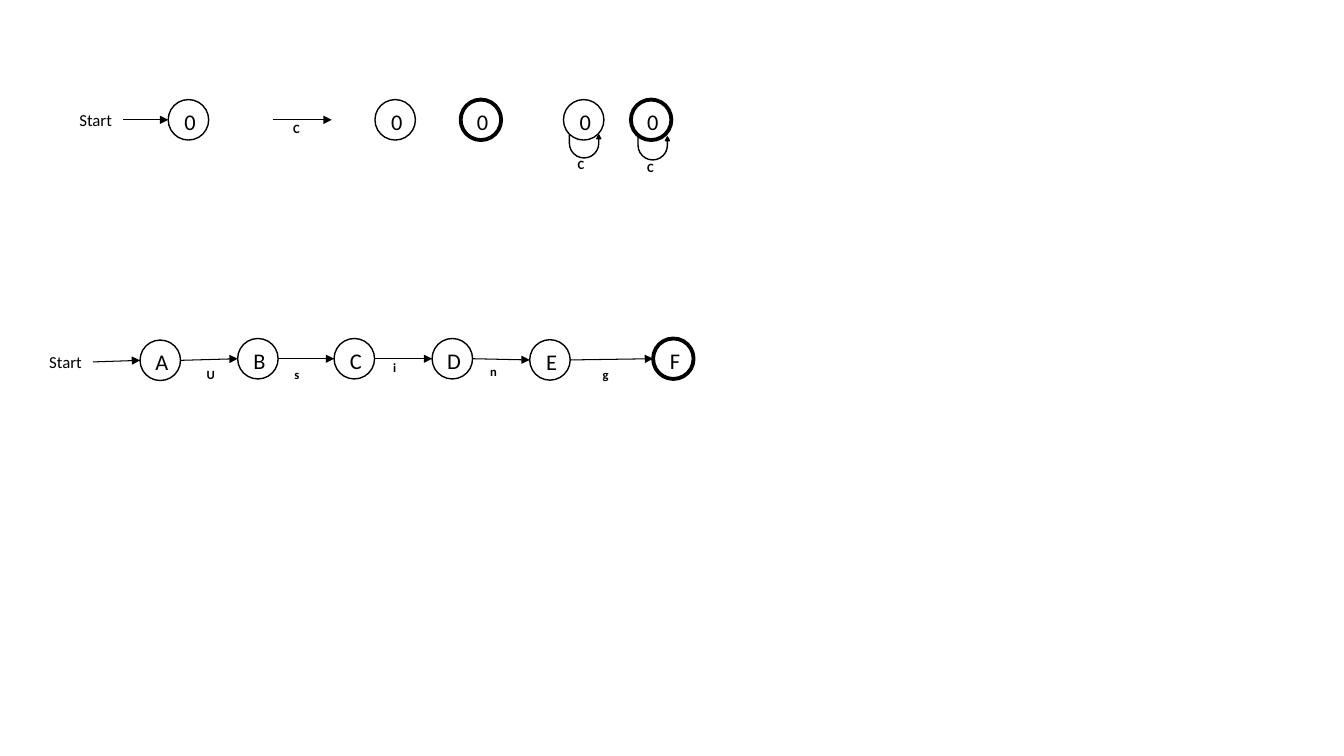
"""Build a slide with a legend of automaton symbols and a chain of states spelling a word."""
from lxml import etree
from pptx import Presentation
from pptx.dml.color import RGBColor
from pptx.enum.shapes import MSO_CONNECTOR, MSO_SHAPE
from pptx.enum.text import MSO_ANCHOR, PP_ALIGN
from pptx.oxml.ns import qn
from pptx.util import Cm, Pt

ELLIPSE, UTURN = MSO_SHAPE.OVAL, MSO_SHAPE.U_TURN_ARROW
STRAIGHT = MSO_CONNECTOR.STRAIGHT
CENTER, MIDDLE, TOP = PP_ALIGN.CENTER, MSO_ANCHOR.MIDDLE, MSO_ANCHOR.TOP

FONT, BLACK = "Calibri", "000000"
DIAMETER = 1.02
START_WIDTH, START_HEIGHT = 1.35, 0.76
LABEL_WIDTH, LABEL_HEIGHT = 0.41, 0.64
LOOP_WIDTH, LOOP_HEIGHT = 0.79, 0.58
LOOP_ADJUSTMENTS = (0, 0.085, 0.164, 0.717, 1)

# name, centre x, centre y, accepting
LEGEND_STATES = [
    ("0", 4.75, 3.02, False),
    ("0", 9.96, 3.02, False),
    ("0", 12.12, 3.02, True),
    ("0", 14.71, 3.02, False),
    ("0", 16.41, 3.02, True),
]
CHAIN_STATES = [
    ("A", 4.04, 9.08, False),
    ("B", 6.50, 9.04, False),
    ("C", 8.93, 9.04, False),
    ("D", 11.40, 9.04, False),
    ("E", 13.86, 9.07, False),
    ("F", 16.97, 9.04, True),
]
STARTS = [(1.75, 2.64, LEGEND_STATES[0]), (0.99, 8.74, CHAIN_STATES[0])]
LEGEND_ARROW = (6.88, 3.02, 8.36, 3.02)
LOOPS = [(14.35, 3.40), (16.08, 3.45)]
LABELS = [
    ("C", 7.26, 2.92), ("C", 14.43, 3.84), ("C", 16.18, 3.91),
    ("U", 5.08, 9.12), ("s", 7.29, 9.12), ("i", 9.78, 8.94),
    ("n", 12.22, 9.04), ("g", 15.06, 9.12),
]


def color(hex_value):
    return RGBColor.from_string(hex_value)


def set_line(shape, width):
    shape.line.color.rgb = color(BLACK)
    shape.line.width = Pt(width)


def write(shape, text, size, bold=False, alignment=None, anchor=TOP):
    shape.text_frame.vertical_anchor = anchor
    paragraph = shape.text_frame.paragraphs[0]
    paragraph.text = text
    paragraph.alignment = alignment
    paragraph.font.name = FONT
    paragraph.font.size = Pt(size)
    paragraph.font.bold = bold
    paragraph.font.color.rgb = color(BLACK)


def add_state(slide, name, x, y, accepting):
    shape = slide.shapes.add_shape(
        ELLIPSE, Cm(x - DIAMETER / 2), Cm(y - DIAMETER / 2), Cm(DIAMETER), Cm(DIAMETER))
    shape.shadow.inherit = False
    shape.fill.background()
    set_line(shape, 2.75 if accepting else 1)
    frame = shape.text_frame
    frame.margin_left = frame.margin_top = Cm(0.08)
    frame.margin_right = frame.margin_bottom = 0
    write(shape, name, 16, alignment=CENTER, anchor=MIDDLE)


def add_arrow(slide, x1, y1, x2, y2):
    connector = slide.shapes.add_connector(STRAIGHT, Cm(x1), Cm(y1), Cm(x2), Cm(y2))
    set_line(connector, 0.75)
    properties = connector._element.spPr
    tail = etree.SubElement(properties.find(qn("a:ln")), qn("a:tailEnd"))
    tail.set("type", "triangle")
    etree.SubElement(properties, qn("a:effectLst"))


def add_start(slide, x, y, state):
    box = slide.shapes.add_textbox(Cm(x), Cm(y), Cm(START_WIDTH), Cm(START_HEIGHT))
    box.text_frame.word_wrap = False
    write(box, "Start", 12)
    name, state_x, state_y, accepting = state
    add_arrow(slide, x + START_WIDTH, y + START_HEIGHT / 2, state_x - DIAMETER / 2, state_y)


def add_loop(slide, x, y):
    loop = slide.shapes.add_shape(UTURN, Cm(x), Cm(y), Cm(LOOP_WIDTH), Cm(LOOP_HEIGHT))
    loop.shadow.inherit = False
    for index, value in enumerate(LOOP_ADJUSTMENTS):
        loop.adjustments[index] = value
    loop.rotation = 180
    loop._element.spPr.find(qn("a:xfrm")).set("flipH", "1")
    loop.fill.solid()
    loop.fill.fore_color.rgb = color(BLACK)
    set_line(loop, 1)


def add_label(slide, text, x, y):
    box = slide.shapes.add_textbox(Cm(x), Cm(y), Cm(LABEL_WIDTH), Cm(LABEL_HEIGHT))
    box.text_frame.word_wrap = True
    box.text_frame.margin_left = Cm(0.13)
    box.text_frame.margin_right = 0
    write(box, text, 9, bold=True)


def main():
    presentation = Presentation()
    presentation.slide_width, presentation.slide_height = Cm(33.87), Cm(19.05)
    slide = presentation.slides.add_slide(presentation.slide_layouts[6])
    for start in STARTS:
        add_start(slide, *start)
    for state in LEGEND_STATES + CHAIN_STATES:
        add_state(slide, *state)
    add_arrow(slide, *LEGEND_ARROW)
    for source, target in zip(CHAIN_STATES, CHAIN_STATES[1:]):
        add_arrow(slide, source[1] + DIAMETER / 2, source[2], target[1] - DIAMETER / 2, target[2])
    for loop in LOOPS:
        add_loop(slide, *loop)
    for label in LABELS:
        add_label(slide, *label)
    presentation.save("out.pptx")


if __name__ == "__main__":
    main()
